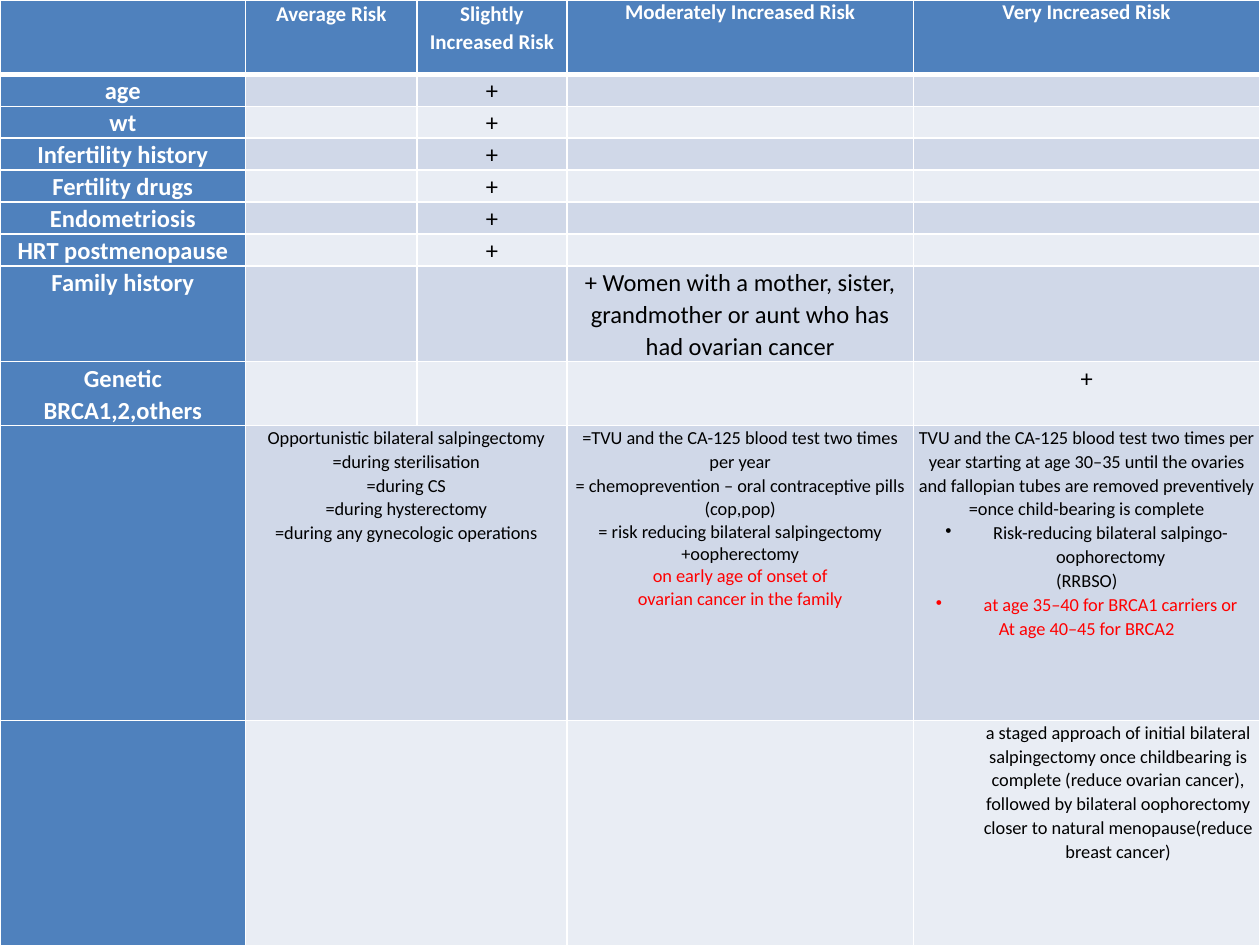
from lxml import etree
from pptx import Presentation
from pptx.dml.color import RGBColor
from pptx.enum import text
from pptx.oxml.ns import qn
from pptx.util import Inches, Pt

BLUE, WHITE, BLACK, RED = "4F81BD", "FFFFFF", "000000", "FF0000"
BANDS = ("D0D8E8", "E9EDF4")
COLUMN_WIDTHS = (1.95, 1.36, 1.19, 2.75, 2.75)
ROW_HEIGHTS = (0.59, *[0.25] * 6, 0.76, 0.5, 2.34, 1.81)
ADVICE_ROW = 9  # first of the two rows with small text and merged cells

# Content: a paragraph is plain text or (text, options)
SINGLE = {"spacing": 1.0}
headers = [
    "", "Average Risk", "Slightly Increased Risk",
    ("Moderately Increased Risk", SINGLE), ("Very Increased Risk", SINGLE),
]
slight_factors = ["age", "wt", "Infertility history", "Fertility drugs",
                  "Endometriosis", "HRT postmenopause"]
average_advice = [
    "Opportunistic bilateral salpingectomy",
    "=during sterilisation",
    "=during CS",
    "=during hysterectomy",
    "=during any gynecologic operations",
]
moderate_advice = [
    "=TVU and the CA-125 blood test two times per year",
    "= chemoprevention – oral contraceptive pills (cop,pop)",
    ("= risk reducing bilateral salpingectomy +oopherectomy", SINGLE),
    ("on early age of onset of", {"spacing": 1.0, "color": RED}),
    ("ovarian cancer in the family", {"spacing": 1.0, "color": RED}),
]
high_advice = [
    "TVU and the CA-125 blood test two times per year starting at age 30–35 until "
    "the ovaries and fallopian tubes are removed preventively "
    "=once child-bearing is complete",
    ("Risk-reducing bilateral salpingo-oophorectomy", {"bullet": True}),
    "(RRBSO)",
    ("at age 35–40 for BRCA1 carriers or", {"bullet": True, "color": RED}),
    ("At age 40–45 for BRCA2", {"color": RED}),
]
staged_advice = (
    "a staged approach of initial bilateral salpingectomy once childbearing is "
    "complete (reduce ovarian cancer), followed by bilateral oophorectomy closer to "
    "natural menopause(reduce breast cancer)", {"indent": 0.5})
rows = [
    headers,
    *[[factor, "", "+", "", ""] for factor in slight_factors],
    ["Family history", "", "",
     "+ Women with a mother, sister, grandmother or aunt who has had ovarian cancer", ""],
    ["Genetic BRCA1,2,others", "", "", "", "+"],
    ["", average_advice, "", moderate_advice, high_advice],
    ["", "", "", "", staged_advice],
]


def rgb(value):
    return RGBColor.from_string(value)


def set_borders(cell, row):
    properties = cell._tc.get_or_add_tcPr()
    for side in "LRTB":
        thick = (side == "B" and row == 0) or (side == "T" and row == 1)
        line = etree.SubElement(properties, qn(f"a:ln{side}"), w=str(Pt(3 if thick else 1)))
        fill = etree.SubElement(line, qn("a:solidFill"))
        etree.SubElement(fill, qn("a:srgbClr"), val=WHITE)


def set_indent(paragraph, left, bullet):
    properties = paragraph._p.get_or_add_pPr()
    properties.set("marL", str(Inches(left)))
    properties.set("indent", str(Inches(-left if bullet else 0)))
    if bullet:
        etree.SubElement(properties, qn("a:buChar"), char="•")
        tabs = etree.SubElement(properties, qn("a:tabLst"))
        etree.SubElement(tabs, qn("a:tab"), pos=str(Inches(0.5)), algn="l")


def write_paragraph(paragraph, content, size, color, bold):
    words, options = content if isinstance(content, tuple) else (content, {})
    paragraph.text = words
    bullet = options.get("bullet", False)
    indent = 0.38 if bullet else options.get("indent", 0)
    if indent:
        set_indent(paragraph, indent, bullet)
    paragraph.alignment = text.PP_ALIGN.CENTER
    paragraph.line_spacing = options.get("spacing", 1.07)
    for run in paragraph.runs:
        run.font.name = "Calibri"
        run.font.size = Pt(size)
        run.font.bold = bold
        run.font.color.rgb = rgb(options.get("color", color))
    if not words:  # keeps empty cells from stretching their row
        etree.SubElement(paragraph._p, qn("a:endParaRPr"), sz=str(int(size * 100)))


def fill_cell(cell, row, column, content):
    heading = row == 0 or column == 0
    size = 12 if row == 0 else 14 if row < ADVICE_ROW else 10.5
    set_borders(cell, row)
    cell.fill.solid()
    cell.fill.fore_color.rgb = rgb(BLUE if heading else BANDS[(row - 1) % 2])
    cell.margin_left = cell.margin_right = Inches(0.04)
    cell.margin_top = cell.margin_bottom = 0
    cell.vertical_anchor = text.MSO_ANCHOR.TOP
    frame = cell.text_frame
    for index, item in enumerate(content if isinstance(content, list) else [content]):
        paragraph = frame.add_paragraph() if index else frame.paragraphs[0]
        write_paragraph(paragraph, item, size, WHITE if heading else BLACK, heading)


def main():
    presentation = Presentation()
    presentation.slide_width, presentation.slide_height = Inches(10), Inches(7.5)
    slide = presentation.slides.add_slide(presentation.slide_layouts[6])

    # Risk table fills the slide
    table = slide.shapes.add_table(len(rows), len(COLUMN_WIDTHS), 0, 0,
                                   Inches(10), Inches(7.5)).table
    for column, width in zip(table.columns, COLUMN_WIDTHS):
        column.width = Inches(width)
    for table_row, height in zip(table.rows, ROW_HEIGHTS):
        table_row.height = Inches(height)
    for row, contents in enumerate(rows):
        for column, content in enumerate(contents):
            fill_cell(table.cell(row, column), row, column, content)
        if row >= ADVICE_ROW:
            table.cell(row, 1).merge(table.cell(row, 2))

    presentation.save("out.pptx")


if __name__ == "__main__":
    main()
